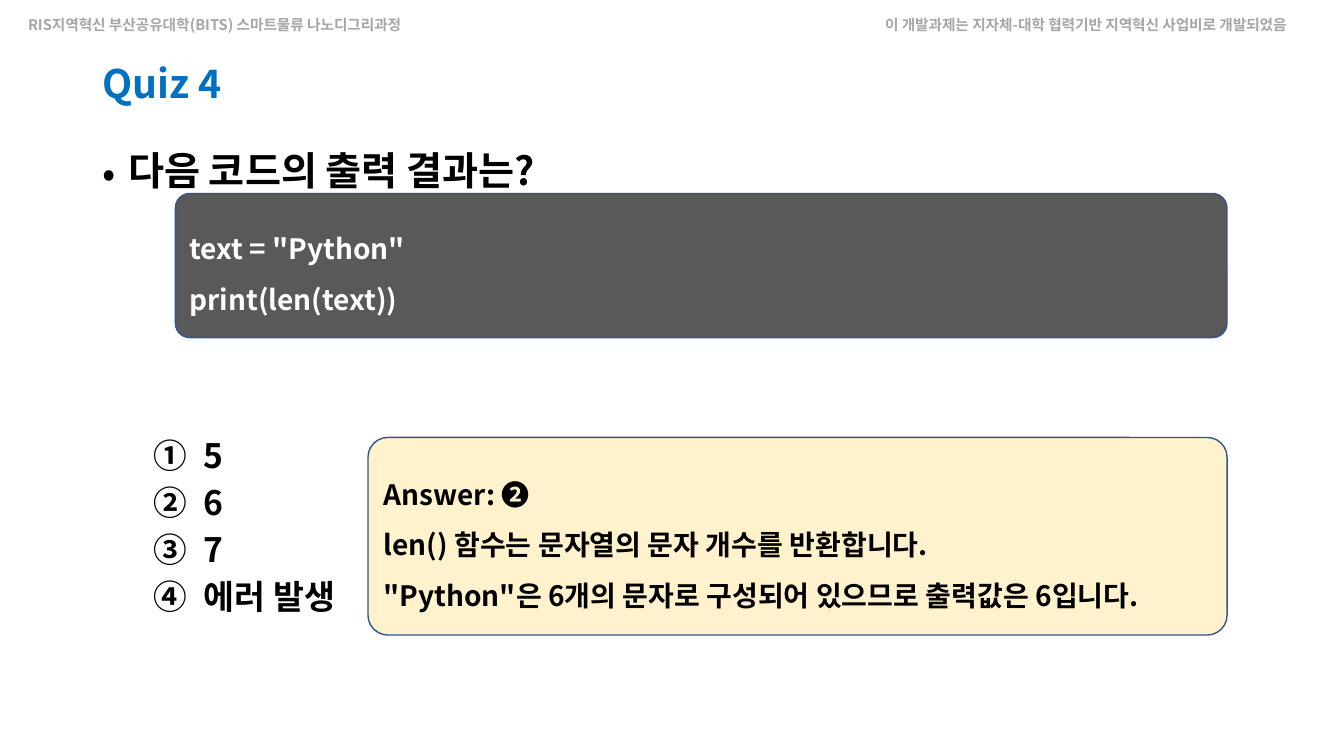
from pptx import Presentation
from pptx.dml.color import RGBColor
from pptx.enum.shapes import MSO_SHAPE as Shape
from pptx.enum.text import MSO_ANCHOR as Anchor, MSO_AUTO_SIZE as Fit, PP_ALIGN as Align
from pptx.oxml.ns import qn
from pptx.util import Pt
from lxml.etree import SubElement

PX = 9144  # 100 px to the inch
FONT = "Noto Sans CJK KR"
BLACK = RGBColor(0x00, 0x00, 0x00)
WHITE = RGBColor(0xFF, 0xFF, 0xFF)
GRAY = RGBColor(0xA6, 0xA6, 0xA6)
DARK = RGBColor(0x59, 0x59, 0x59)
BLUE = RGBColor(0x00, 0x70, 0xC0)
NAVY = RGBColor(0x32, 0x54, 0x91)
CREAM = RGBColor(0xFF, 0xF2, 0xCC)


def px(*nums):
    return [n * PX for n in nums]


def write(para, text, size=20, color=BLACK, space=1.0, before=0):
    para.alignment = Align.LEFT
    para.line_spacing = space
    para.space_before = Pt(before)
    run = para.add_run()
    run.text = text
    font = run.font
    font.name, font.size, font.bold = FONT, Pt(size), True
    font.color.rgb = color
    SubElement(font._element, qn("a:ea"), typeface=FONT)


def mark(para, left, hang, tag, **attrs):
    """Give a paragraph a hanging indent and a bullet or number."""
    props = para._p.get_or_add_pPr()
    props.set("marL", str(left * PX))
    props.set("indent", str(-hang * PX))
    SubElement(props, qn("a:buFont"), typeface=FONT)
    SubElement(props, qn(tag), **attrs)


class Quiz:
    def __init__(self, deck):
        self.slide = deck.slides.add_slide(deck.slide_layouts[1])

    def place(self, shape, box):
        shape.left, shape.top, shape.width, shape.height = px(*box)
        shape.text_frame.auto_size = Fit.NONE
        return shape.text_frame

    def title(self, box, text):
        frame = self.place(self.slide.shapes.title, box)
        frame.vertical_anchor = Anchor.MIDDLE
        write(frame.paragraphs[0], text, size=28, color=BLUE, space=0.9)

    def body(self, box, ask, picks, gap):
        """Write the question, then the numbered choices below a gap in points."""
        frame = self.place(self.slide.placeholders[1], box)
        frame.vertical_anchor = Anchor.TOP
        para = frame.paragraphs[0]
        mark(para, 25, 25, "a:buChar", char="•")
        write(para, ask, size=28, space=1.5)
        for i, pick in enumerate(picks):
            para = frame.add_paragraph()
            para.level = 1
            mark(para, 100, 50, "a:buAutoNum", type="circleNumDbPlain")
            write(para, pick, size=24, before=5 if i else gap)

    def label(self, box, text, wrap=True):
        frame = self.slide.shapes.add_textbox(*px(*box)).text_frame
        frame.word_wrap = wrap
        write(frame.paragraphs[0], text, size=10.5, color=GRAY)

    def panel(self, box, lines, fill, color):
        shape = self.slide.shapes.add_shape(Shape.ROUNDED_RECTANGLE, *px(*box))
        shape.adjustments[0] = 0.1
        shape.shadow.inherit = False
        shape.fill.solid()
        shape.fill.fore_color.rgb = fill
        shape.line.color.rgb = NAVY
        shape.line.width = Pt(1)
        frame = shape.text_frame
        frame.word_wrap = True
        frame.vertical_anchor = Anchor.MIDDLE
        for i, line in enumerate(lines):
            para = frame.add_paragraph() if i else frame.paragraphs[0]
            write(para, line, color=color, space=1.5)


def main():
    deck = Presentation()
    deck.slide_width, deck.slide_height = px(1333, 750)
    quiz = Quiz(deck)
    quiz.label((18, 11, 424, 28), "RIS지역혁신 부산공유대학(BITS) 스마트물류 나노디그리과정", wrap=False)
    quiz.label((868, 11, 466, 28), "이 개발과제는 지자체-대학 협력기반 지역혁신 사업비로 개발되었음")
    quiz.title((92, 40, 1150, 90), "Quiz 4")
    quiz.body((92, 117, 1208, 633), "다음 코드의 출력 결과는?", ["5", "6", "7", "에러 발생"], gap=172)
    quiz.panel((174, 192, 1043, 143), ['text = "Python"', "print(len(text))"], DARK, WHITE)
    quiz.panel((365, 434, 852, 196), [
        "Answer: ❷",
        "len() 함수는 문자열의 문자 개수를 반환합니다.",
        '"Python"은 6개의 문자로 구성되어 있으므로 출력값은 6입니다.',
    ], CREAM, BLACK)
    deck.save("out.pptx")


if __name__ == "__main__":
    main()
